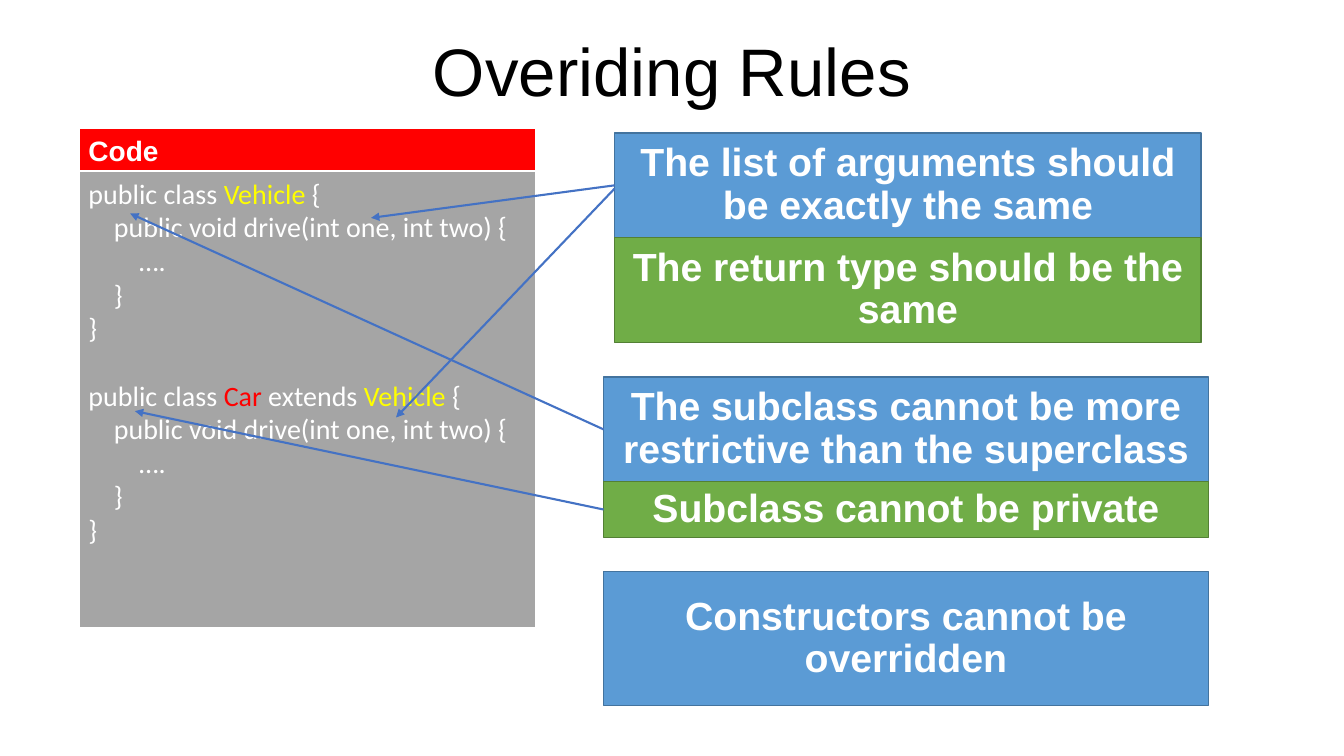
from dataclasses import dataclass

from lxml import etree
from pptx import Presentation
from pptx.dml.color import RGBColor
from pptx.enum.shapes import MSO_CONNECTOR, MSO_SHAPE
from pptx.enum.text import MSO_ANCHOR, PP_ALIGN
from pptx.oxml.ns import qn
from pptx.util import Cm, Pt

RECTANGLE = MSO_SHAPE.RECTANGLE
STRAIGHT = MSO_CONNECTOR.STRAIGHT
LEFT, CENTER = PP_ALIGN.LEFT, PP_ALIGN.CENTER
TOP, MIDDLE = MSO_ANCHOR.TOP, MSO_ANCHOR.MIDDLE
LEFT_SIDE = 1
INDENT = 0.64

COLORS = {
    "white": "FFFFFF", "black": "000000", "red": "FF0000", "yellow": "FFFF00",
    "gray": "A5A5A5", "blue": "5B9BD5", "blue edge": "43739E",
    "green": "70AD47", "green edge": "538035", "arrow": "4472C4",
}


@dataclass
class Line:
    spans: list[tuple[str, str]]  # text and colour name
    level: int = 0
    space_before: float = 0


@dataclass
class Rule:
    text: str
    height: float
    color: str


@dataclass
class RuleStack:
    left: float
    top: float
    width: float
    rules: list[Rule]


@dataclass
class Arrow:
    start: tuple[float, float]
    end: tuple[float, float]
    rule: int | None = None  # rule box joined at its left side


METHOD = [
    Line([("public void drive(int one, int two) {", "white")], 1),
    Line([("….", "white")], 2),
    Line([("}", "white")], 1),
    Line([("}", "white")]),
]
CODE = [
    Line([("public class ", "white"), ("Vehicle", "yellow"), (" {", "white")]),
    *METHOD,
    Line([("public class ", "white"), ("Car", "red"), (" extends ", "white"),
          ("Vehicle", "yellow"), (" {", "white")], space_before=24),
    *METHOD,
]
STACKS = [
    RuleStack(15.49, 3.35, 14.78, [
        Rule("The list of arguments should be exactly the same", 2.64, "blue"),
        Rule("The return type should be the same", 2.64, "green"),
    ]),
    RuleStack(15.21, 9.5, 15.24, [
        Rule("The subclass cannot be more restrictive than the superclass", 2.64, "blue"),
        Rule("Subclass cannot be private", 1.4, "green"),
    ]),
    RuleStack(15.21, 14.4, 15.24, [
        Rule("Constructors cannot be overridden", 3.38, "blue"),
    ]),
]
ARROWS = [
    Arrow((15.49, 4.67), (9.35, 5.49), rule=0),
    Arrow((15.49, 4.75), (9.98, 10.52)),
    Arrow((15.21, 10.82), (3.28, 5.38), rule=2),
    Arrow((15.21, 12.84), (3.4, 10.36), rule=3),
]


def rgb(name: str) -> RGBColor:
    return RGBColor.from_string(COLORS[name])


def write_text(box, lines: list[Line], *, size: float, font: str = "Arial",
               bold: bool = False, align=CENTER, anchor=MIDDLE,
               spacing: float = 1.0) -> None:
    frame = box.text_frame
    frame.word_wrap = True
    frame.vertical_anchor = anchor
    for index, line in enumerate(lines):
        para = frame.paragraphs[0] if index == 0 else frame.add_paragraph()
        para.alignment = align
        para.line_spacing = spacing
        para.space_before = Pt(line.space_before)
        if line.level:
            para._p.get_or_add_pPr().set("marL", str(Cm(INDENT * line.level)))
        for text, color in line.spans:
            span = para.add_run()
            span.text = text
            span.font.name = font
            span.font.size = Pt(size)
            span.font.bold = bold
            span.font.color.rgb = rgb(color)


def add_box(page, left: float, top: float, width: float, height: float,
            fill: str, edge: str, edge_width: float):
    box = page.shapes.add_shape(RECTANGLE, Cm(left), Cm(top), Cm(width), Cm(height))
    box.shadow.inherit = False
    box.fill.solid()
    box.fill.fore_color.rgb = rgb(fill)
    box.line.color.rgb = rgb(edge)
    box.line.width = Pt(edge_width)
    return box


def add_stack(page, stack: RuleStack) -> list:
    boxes = []
    top = stack.top
    for rule in stack.rules:
        box = add_box(page, stack.left, top, stack.width, rule.height,
                      rule.color, f"{rule.color} edge", 1)
        write_text(box, [Line([(rule.text, "white")])], size=28, bold=True, spacing=0.9)
        boxes.append(box)
        top += rule.height
    return boxes


def add_arrow(page, arrow: Arrow, rule_boxes: list) -> None:
    points = [Cm(value) for value in arrow.start + arrow.end]
    connector = page.shapes.add_connector(STRAIGHT, *points)
    if arrow.rule is not None:
        connector.begin_connect(rule_boxes[arrow.rule], LEFT_SIDE)
    connector.line.color.rgb = rgb("arrow")
    connector.line.width = Pt(1.5)
    etree.SubElement(connector.line._get_or_add_ln(), qn("a:tailEnd"), type="triangle")
    etree.SubElement(connector._element.spPr, qn("a:effectLst"))


def main() -> None:
    deck = Presentation()
    deck.slide_width, deck.slide_height = Cm(33.87), Cm(19.05)
    page = deck.slides.add_slide(deck.slide_layouts[6])

    # Title
    title = page.shapes.add_textbox(0, 0, deck.slide_width, Cm(3.76))
    write_text(title, [Line([("Overiding Rules", "black")])], size=48, spacing=0.9)

    # Code panel
    header = add_box(page, 1.98, 3.23, 11.53, 1.09, "red", "white", 1.5)
    write_text(header, [Line([("Code", "white")])], size=20, bold=True, align=LEFT)
    panel = add_box(page, 1.98, 4.32, 11.53, 11.51, "gray", "white", 1.5)
    write_text(panel, CODE, size=20, font="Calibri", align=LEFT, anchor=TOP)

    # Rules and the arrows to the code they concern
    rule_boxes = [box for stack in STACKS for box in add_stack(page, stack)]
    for arrow in ARROWS:
        add_arrow(page, arrow, rule_boxes)

    deck.save("out.pptx")


if __name__ == "__main__":
    main()
